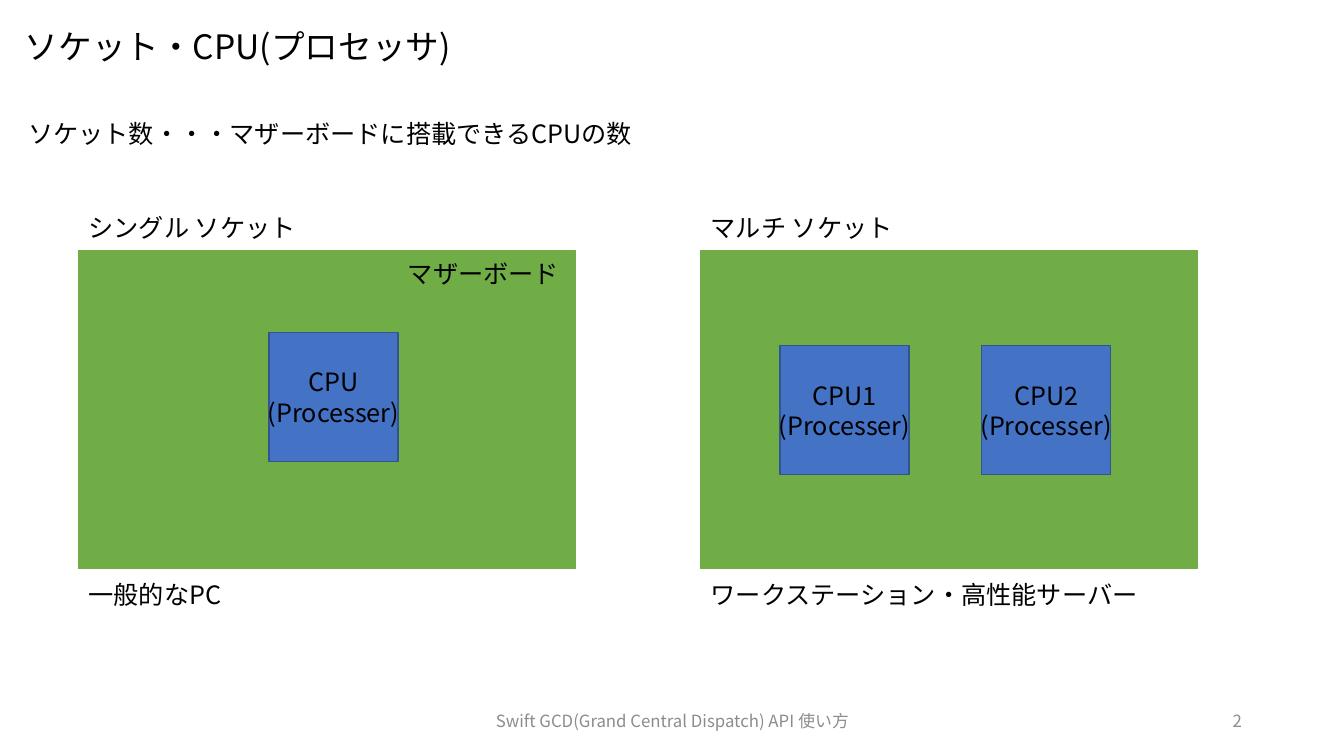
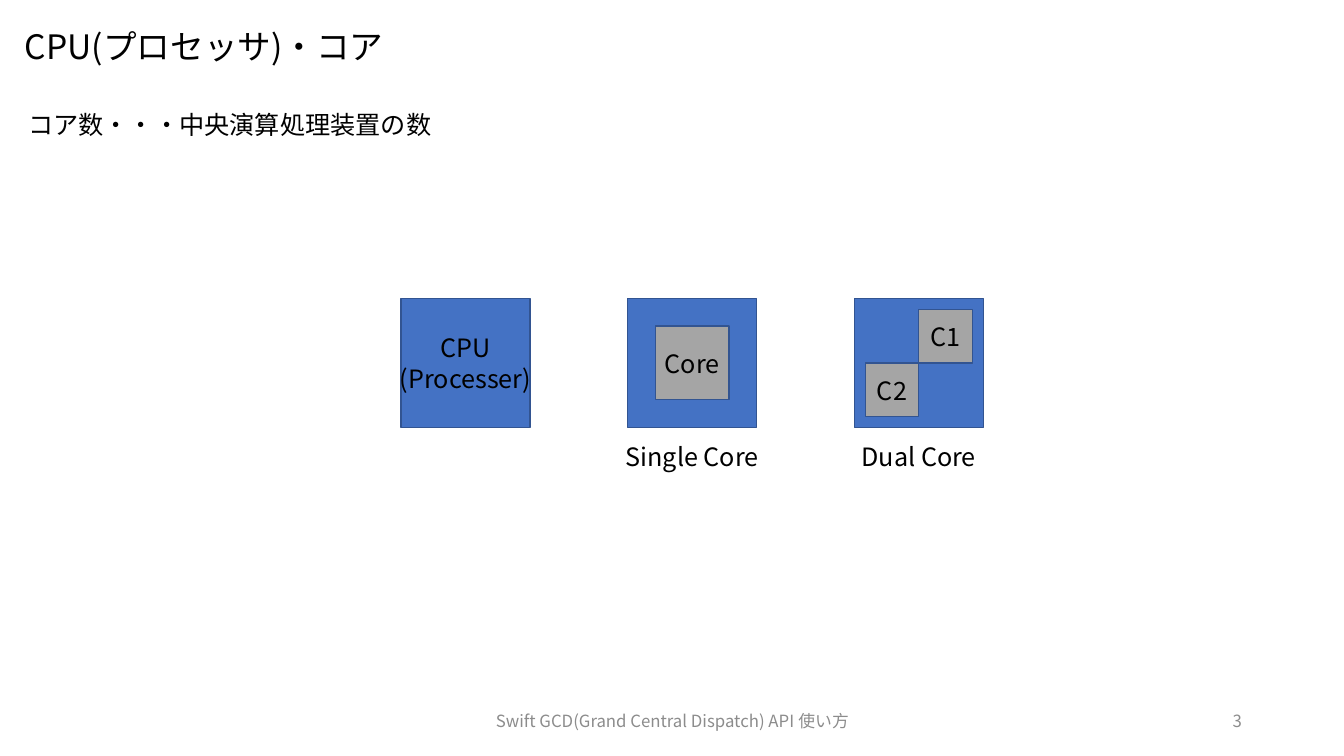
from lxml import etree
from pptx import Presentation
from pptx import util as u
from pptx.dml.color import RGBColor
from pptx.enum import shapes, text
from pptx.oxml import ns

COLORS = {
    "text": "000000",
    "footer": "8C8C8C",
    "board": "70AD47",
    "cpu": "4472C4",
    "core": "A5A5A5",
    "edge": "325491",
}
FONT = "Noto Sans CJK JP"
LINE_HEIGHT = 1.22
CPU_SIZE = 3.25
LEFT, CENTER, RIGHT = text.PP_ALIGN.LEFT, text.PP_ALIGN.CENTER, text.PP_ALIGN.RIGHT


class Deck:
    """Hold the shared style and the slide being built."""

    def __init__(self):
        self.prs = Presentation()
        self.prs.slide_width, self.prs.slide_height = u.Cm(33.87), u.Cm(19.05)
        self.slide = None

    def start(self, title, number):
        self.slide = self.prs.slides.add_slide(self.prs.slide_layouts[6])
        self.label(title, 0.38, 0.53, 26, 1.27, size=24)
        footer = dict(size=12, color="footer", anchor=text.MSO_ANCHOR.MIDDLE)
        self.label("Swift GCD(Grand Central Dispatch) API 使い方",
                   11.23, 17.65, 11.43, align=CENTER, **footer)
        self.label(str(number), 23.93, 17.65, 7.62, align=RIGHT, **footer)

    def fill_text(self, frame, words, size=18, color="text", align=LEFT):
        frame.text = words
        for paragraph in frame.paragraphs:
            paragraph.alignment = align
            paragraph.line_spacing = u.Pt(round(size * LINE_HEIGHT))
            font = paragraph.font
            font.size, font.name = u.Pt(size), FONT
            font.color.rgb = RGBColor.from_string(COLORS[color])
            defaults = paragraph._p.pPr.find(ns.qn("a:defRPr"))
            etree.SubElement(defaults, ns.qn("a:ea"), typeface=FONT)

    def label(self, words, x, y, width, height=1.02,
              anchor=text.MSO_ANCHOR.TOP, **style):
        box = self.slide.shapes.add_textbox(u.Cm(x), u.Cm(y), u.Cm(width), u.Cm(height))
        frame = box.text_frame
        frame.word_wrap = True
        frame.vertical_anchor = anchor
        self.fill_text(frame, words, **style)

    def block(self, x, y, width, height, fill, edge="edge", words=""):
        rect = self.slide.shapes.add_shape(
            shapes.MSO_SHAPE.RECTANGLE, u.Cm(x), u.Cm(y), u.Cm(width), u.Cm(height))
        rect.shadow.inherit = False
        rect.fill.solid()
        rect.fill.fore_color.rgb = RGBColor.from_string(COLORS[fill])
        rect.line.color.rgb = RGBColor.from_string(COLORS[edge])
        rect.line.width = u.Pt(1)
        if words:
            frame = rect.text_frame
            frame.margin_left = frame.margin_right = 0
            frame.margin_top = frame.margin_bottom = 0
            frame.word_wrap = False
            frame.vertical_anchor = text.MSO_ANCHOR.MIDDLE
            self.fill_text(frame, words, align=CENTER)

    def board(self, x, heading, usage, heading_width, usage_width):
        self.block(x, 6.32, 12.52, 8, "board", edge="board")
        self.label(heading, x, 5.21, heading_width)
        self.label(usage, x, 14.45, usage_width)

    def cpu(self, x, y, name=""):
        self.block(x, y, CPU_SIZE, CPU_SIZE, "cpu",
                   words=f"{name}\n(Processer)" if name else "")

    def core(self, x, y, size, name):
        self.block(x, y, size, size, "core", words=name)


def build_sockets(deck):
    deck.start("ソケット・CPU(プロセッサ)", 2)
    deck.label("ソケット数・・・マザーボードに搭載できるCPUの数", 0.46, 2.84, 15.95)
    deck.board(1.98, "シングル ソケット", "一般的なPC", 5.82, 3.94)
    deck.label("マザーボード", 10.03, 6.38, 4.37)
    deck.cpu(6.78, 8.38, "CPU")
    deck.board(17.66, "マルチ ソケット", "ワークステーション・高性能サーバー", 5.18, 11.4)
    deck.cpu(19.66, 8.71, "CPU1")
    deck.cpu(24.74, 8.71, "CPU2")


def build_cores(deck):
    deck.start("CPU(プロセッサ)・コア", 3)
    deck.label("コア数・・・中央演算処理装置の数", 0.46, 2.62, 10.77)
    top, single_size, dual_size, caption_width = 7.52, 1.85, 1.35, 3.9
    plain, single, dual = (10.11 + 5.71 * i for i in range(3))
    half = CPU_SIZE / 2
    middle = top + half

    deck.cpu(plain, top, "CPU")
    deck.cpu(single, top)
    deck.core(single + half - single_size / 2, middle - single_size / 2, single_size, "Core")
    deck.cpu(dual, top)
    deck.core(dual + half, middle - dual_size, dual_size, "C1")
    deck.core(dual + half - dual_size, middle, dual_size, "C2")
    for x, caption in ((single, "Single Core"), (dual, "Dual Core")):
        deck.label(caption, x + half - caption_width / 2, 10.97, caption_width, align=CENTER)


def main():
    deck = Deck()
    build_sockets(deck)
    build_cores(deck)
    deck.prs.save("out.pptx")


if __name__ == "__main__":
    main()
